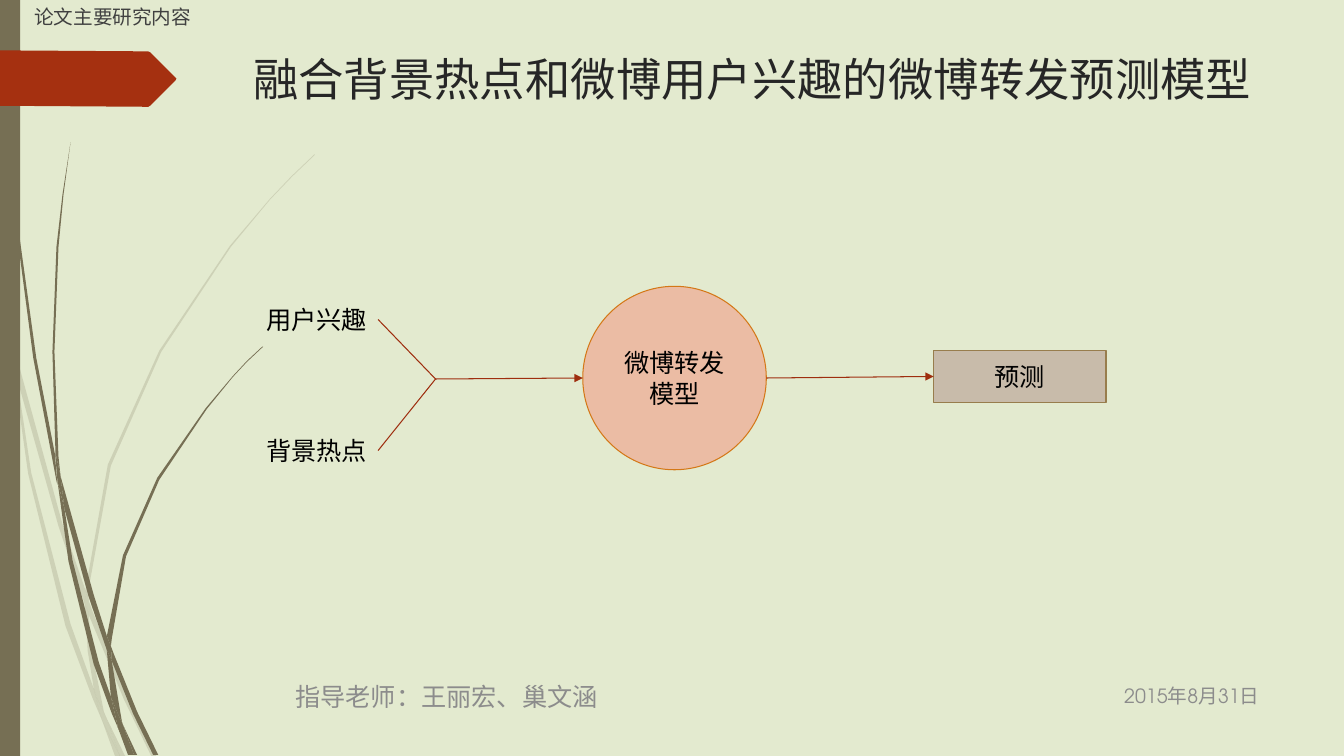
import pptx
import pptx.util
import pptx.dml.color
import pptx.enum.text
import pptx.enum.shapes
import pptx.oxml.ns
import lxml.etree

Inches = pptx.util.Inches
Pt = pptx.util.Pt
Align = pptx.enum.text.PP_ALIGN
Anchor = pptx.enum.text.MSO_ANCHOR
Fit = pptx.enum.text.MSO_AUTO_SIZE
Kind = pptx.enum.shapes.MSO_SHAPE
qn = pptx.oxml.ns.qn
theme = {
    "font": "TeX Gyre Adventor",
    "back": "E3EACF", "stem": "766F54", "flag": "A53010", "arrow": "9E2E0F",
    "title": "262626", "head": "404040", "foot": "8C8C8C", "text": "000000",
    "disc": "EBBCA4", "rim": "D47817", "box": "C8BBAA", "edge": "987D4D",
    "large": 32.4, "mid": 18, "small": 14, "line": 0.75,
}


def color(name):
    return pptx.dml.color.RGBColor.from_string(theme[name])


def write(shape, text, size, tone, align=Align.LEFT, anchor=Anchor.TOP, wrap=True, fit=Fit.NONE):
    frame = shape.text_frame
    frame.text = text
    for key, value in {"auto_size": fit, "word_wrap": wrap, "vertical_anchor": anchor}.items():
        setattr(frame, key, value)
    para = frame.paragraphs[0]
    para.alignment = align
    font = para.runs[0].font
    for key, value in {"name": theme["font"], "size": Pt(theme[size]), "bold": False}.items():
        setattr(font, key, value)
    font.color.rgb = color(tone)


deck = pptx.Presentation()
deck.slide_width = Inches(13.33)
deck.slide_height = Inches(7.5)
slide = deck.slides.add_slide(deck.slide_layouts[5])
slide.background.fill.solid()
slide.background.fill.fore_color.rgb = color("back")
shapes = slide.shapes

pale = [
    [(0.11, 3.5), (0.09, 3.22), (0, 2.82), (0, 2.99), (0.1, 3.44)],
    [(0.58, 5.22), (0.84, 5.99), (0.85, 5.86), (0.62, 5.2), (0.14, 3.45), (0.17, 3.76)],
    [(0.92, 6.07), (0.88, 5.96), (0.88, 6.1), (1.23, 6.94), (1.5, 7.5), (1.55, 7.5), (1.27, 6.92)],
    [(1.19, 7.5), (1.24, 7.5), (1.05, 7.11)],
    [(0.93, 6.83), (0.7, 6.19), (0.31, 4.69), (0.17, 3.76), (0.11, 3.5), (0.28, 4.7),
     (0.65, 6.21), (0.92, 6.93), (1.01, 7.14), (0.99, 7.07)],
    [(0.84, 5.99), (0.87, 6.46), (0.93, 6.83), (0.96, 6.92), (1.05, 7.11), (1.03, 7.06),
     (0.91, 6.46), (0.88, 6.1), (0.88, 6.08)],
    [(0.88, 5.84), (1.1, 4.62), (1.6, 3.49), (2.29, 2.45), (2.68, 1.98), (2.9, 1.75),
     (3.12, 1.54), (3.12, 1.53), (2.89, 1.75), (2.68, 1.97), (2.28, 2.44), (1.58, 3.48),
     (1.07, 4.61), (0.85, 5.84), (0.85, 5.86), (0.88, 5.96)],
    [(1.01, 7.14), (1.14, 7.5), (1.19, 7.5)],
    [(0.88, 6.08), (0.88, 6.1), (0.88, 5.96), (0.85, 5.86), (0.84, 5.99)],
    [(0.96, 6.92), (0.93, 6.83), (0.99, 7.07), (1.01, 7.14), (1.19, 7.5), (1.05, 7.11)],
]
dark = [
    [(0.07, 1.1), (0.17, 2.33), (0.33, 3.55), (0.56, 4.77), (0.57, 4.81), (0.55, 4.57),
     (0.55, 4.53), (0.36, 3.55), (0.19, 2.32), (0.08, 1.09), (0.05, 0.48), (0.04, 0),
     (0.03, 0), (0.04, 0.48)],
    [(0.88, 5.92), (1.06, 6.45), (1.06, 6.31), (0.93, 5.9), (0.6, 4.72), (0.64, 5.05)],
    [(1.13, 6.49), (1.1, 6.41), (1.11, 6.56), (1.32, 7.08), (1.52, 7.49), (1.57, 7.49), (1.36, 7.06)],
    [(1.1, 6.91), (0.98, 6.57), (0.72, 5.56), (0.64, 5.05), (0.57, 4.77), (0.68, 5.57),
     (0.93, 6.59), (1.11, 7.08), (1.17, 7.22), (1.16, 7.17)],
    [(0.6, 4.72), (0.58, 4.53), (0.54, 3.49), (0.58, 2.45), (0.63, 1.93), (0.7, 1.41),
     (0.62, 1.93), (0.56, 2.45), (0.52, 3.49), (0.55, 4.49)],
    [(1.33, 7.49), (1.36, 7.49), (1.22, 7.19)],
    [(0.57, 4.77), (0.64, 5.05), (0.6, 4.72), (0.55, 4.49), (0.55, 4.53)],
    [(1.11, 6.33), (1.25, 5.52), (1.58, 4.76), (2.05, 4.06), (2.31, 3.74), (2.45, 3.59),
     (2.61, 3.44), (2.6, 3.44), (2.45, 3.58), (2.31, 3.73), (2.04, 4.05), (1.56, 4.74),
     (1.22, 5.51), (1.06, 6.31), (1.1, 6.41)],
    [(1.17, 7.22), (1.27, 7.49), (1.31, 7.49)],
    [(1.06, 6.45), (1.1, 6.91), (1.16, 7.06), (1.22, 7.19), (1.21, 7.16), (1.11, 6.56), (1.09, 6.51)],
    [(1.06, 6.45), (1.09, 6.51), (1.11, 6.56), (1.1, 6.41), (1.06, 6.31)],
    [(1.16, 7.06), (1.1, 6.91), (1.16, 7.17), (1.17, 7.22), (1.3, 7.49), (1.33, 7.49), (1.22, 7.19)],
]
bar = [(0, 0), (0.2, 0), (0.2, 7.5), (0, 7.5)]
flag = [(1.74, 0.8), (1.49, 1.05), (1.47, 1.06), (0, 1.05), (0, 0.5), (1.47, 0.51),
        (1.49, 0.52), (1.74, 0.77), (1.75, 0.78)]

for group, tone, alpha in [(pale, "stem", 20), (dark, "stem", 100), ([bar], "stem", 100), ([flag], "flag", 100)]:
    for points in group:
        if points is bar:
            leaf = shapes.add_shape(Kind.RECTANGLE, 0, 0, Inches(0.2), Inches(7.5))
        else:
            spots = [(Inches(x), Inches(y)) for x, y in points]
            pen = shapes.build_freeform(*spots[0])
            pen.add_line_segments(spots[1:], close=True)
            leaf = pen.convert_to_shape()
        leaf.shadow.inherit = False
        leaf.fill.solid()
        leaf.fill.fore_color.rgb = color(tone)
        leaf.line.fill.background()
        if alpha < 100:
            tint = leaf.element.spPr.find(qn("a:solidFill"))[0]
            lxml.etree.SubElement(tint, qn("a:alpha")).set("val", str(alpha * 1000))

title = shapes.title
shapes.element.append(title.element)
for key, value in {"left": 2.41, "top": 0.46, "width": 10.32, "height": 0.78}.items():
    setattr(title, key, Inches(value))
write(title, "融合背景热点和微博用户兴趣的微博转发预测模型", "large", "title")

for text, place, size, tone, style in [
    ("2015年8月31日", (10.78, 6.7, 1.81, 0.41), "small", "foot", {"align": Align.RIGHT, "anchor": Anchor.MIDDLE}),
    ("指导老师：王丽宏、巢文涵", (2.83, 6.71, 7.67, 0.4), "mid", "foot", {"anchor": Anchor.MIDDLE}),
    ("论文主要研究内容", (0.24, 0, 8.29, 0.45), "small", "head", {}),
]:
    note = shapes.add_textbox(*map(Inches, place))
    write(note, text, size, tone, **style)

labels = []
for text, top in [("用户兴趣", 2.97), ("背景热点", 4.27)]:
    label = shapes.add_textbox(Inches(2.54), Inches(top), Inches(1.21), Inches(0.4))
    write(label, text, "mid", "text", wrap=False, fit=Fit.SHAPE_TO_FIT_TEXT)
    labels.append(label)

nodes = []
for text, kind, place, fill, line in [
    ("微博转发模型", Kind.OVAL, (5.78, 2.84, 1.82, 1.82), "disc", "rim"),
    ("预测", Kind.RECTANGLE, (9.26, 3.48, 1.71, 0.51), "box", "edge"),
]:
    node = shapes.add_shape(kind, *map(Inches, place))
    node.shadow.inherit = False
    node.fill.solid()
    node.fill.fore_color.rgb = color(fill)
    node.line.color.rgb = color(line)
    node.line.width = Pt(theme["line"])
    write(node, text, "mid", "text", align=Align.CENTER, anchor=Anchor.MIDDLE)
    nodes.append(node)

fork = (4.32, 3.76)
for start, end, source, target, head in [
    ((3.75, 3.17), fork, labels[0], None, False),
    ((3.75, 4.47), fork, labels[1], None, False),
    (fork, (5.78, 3.75), None, None, True),
    ((7.6, 3.75), (9.26, 3.74), None, nodes[1], True),
]:
    link = shapes.add_connector(pptx.enum.shapes.MSO_CONNECTOR.STRAIGHT, *map(Inches, start + end))
    link.line.color.rgb = color("arrow")
    link.line.width = Pt(theme["line"])
    if source:
        link.begin_connect(source, 3)
    if target:
        link.end_connect(target, 1)
    if head:
        lxml.etree.SubElement(link.line._get_or_add_ln(), qn("a:tailEnd")).set("type", "triangle")
    lxml.etree.SubElement(link.element.spPr, qn("a:effectLst"))

deck.save("out.pptx")
